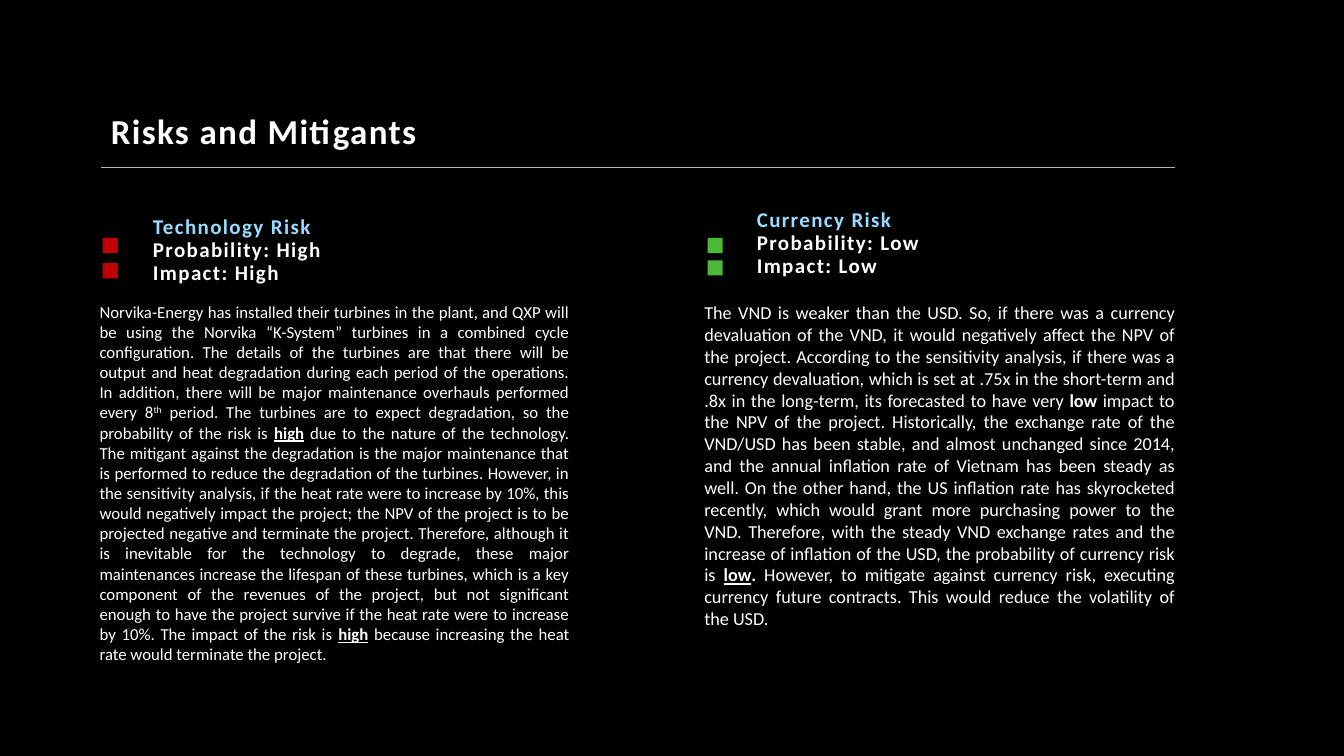
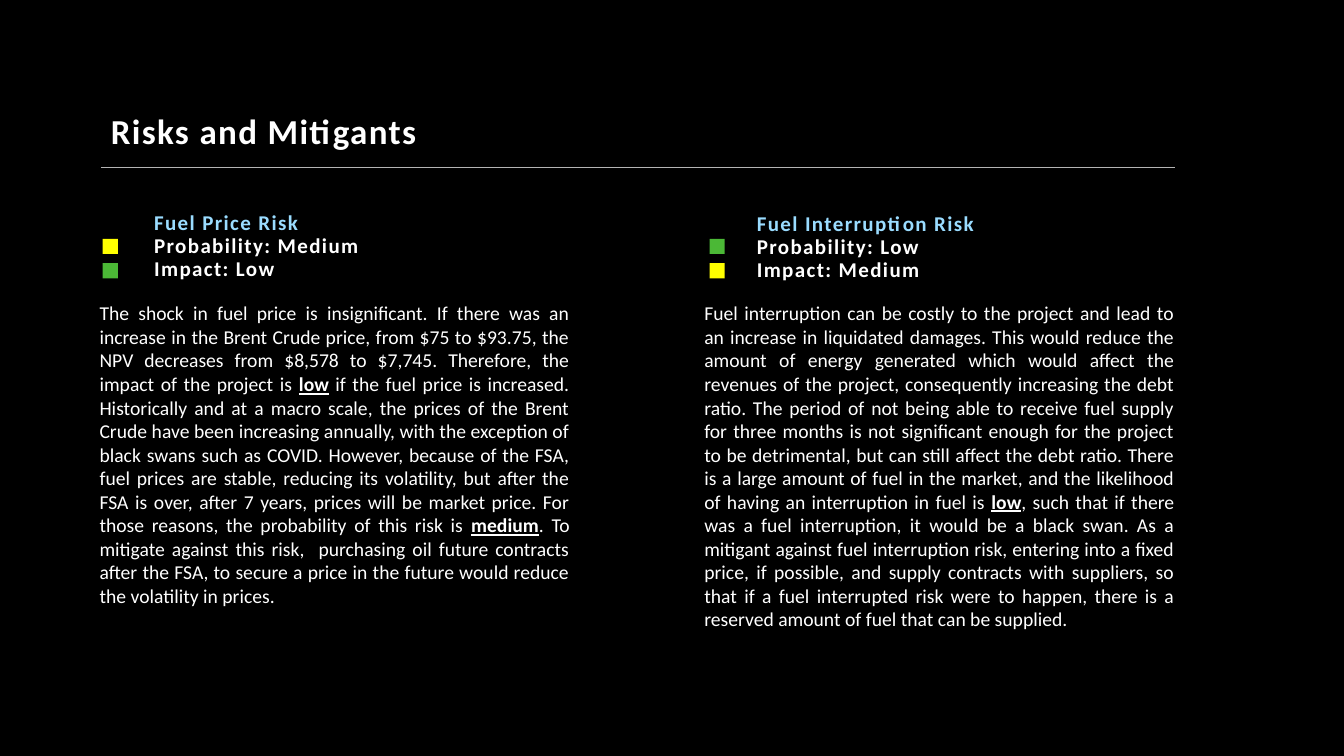
from pptx import Presentation
from pptx.dml.color import RGBColor
from pptx.enum.shapes import MSO_CONNECTOR, MSO_SHAPE
from pptx.enum.text import MSO_ANCHOR, MSO_AUTO_SIZE, PP_ALIGN
from pptx.oxml.ns import qn
from pptx.util import Pt

RECTANGLE = MSO_SHAPE.RECTANGLE
STRAIGHT = MSO_CONNECTOR.STRAIGHT
TOP = MSO_ANCHOR.TOP
GROW = MSO_AUTO_SIZE.SHAPE_TO_FIT_TEXT
LEFT, JUSTIFY = PP_ALIGN.LEFT, PP_ALIGN.JUSTIFY

BLACK = RGBColor(0x00, 0x00, 0x00)
WHITE = RGBColor(0xFF, 0xFF, 0xFF)
RULE_GREY = RGBColor(0xB4, 0xB4, 0xB4)
SKY_BLUE = RGBColor(0x9A, 0xDC, 0xFF)
LEVEL_COLORS = {
    "High": RGBColor(0xC0, 0x00, 0x00),
    "Medium": RGBColor(0xFF, 0xFF, 0x00),
    "Low": RGBColor(0x4B, 0xB8, 0x36),
}

FONT = "Calibri"
TITLE = "Risks and Mitigants"
TITLE_FORMAT = {"name": FONT, "size": Pt(25), "bold": True}
HEADING_FORMAT = {"name": FONT, "size": Pt(15), "bold": True}
BOLD = {"bold": True}
STRESSED = {"bold": True, "underline": True}
SPACED = {"spc": "100"}
SUPERSCRIPT = {"baseline": "30000"}

COLUMN_LEFTS = (64, 496)
BODY_TOP, BODY_WIDTH = 211.7, 350
HEADING_WIDTH, HEADING_HEIGHT = 322.5, 65.5
MARKER_SIZE = 10.8

# Body runs: text, font settings, raw run attributes
technology = [
    ("Norvika-Energy has installed their turbines in the plant, and QXP will be using "
     "the Norvika “K-System” turbines in a combined cycle configuration. The details of "
     "the turbines are that there will be output and heat degradation during each period "
     "of the operations. In addition, there will be major maintenance overhauls performed "
     "every 8", {}, {}),
    ("th", {}, SUPERSCRIPT),
    (" period. The turbines are to expect degradation, so the probability of the risk is ",
     {}, {}),
    ("high", STRESSED, {}),
    (" due to the nature of the technology. The mitigant against the degradation is the "
     "major maintenance that is performed to reduce the degradation of the turbines. "
     "However, in the sensitivity analysis, if the heat rate were to increase by 10%, this "
     "would negatively impact the project; the NPV of the project is to be projected "
     "negative and terminate the project. Therefore, although it is inevitable for the "
     "technology to degrade, these major maintenances increase the lifespan of these "
     "turbines, which is a key component of the revenues of the project, but not "
     "significant enough to have the project survive if the heat rate were to increase by "
     "10%. The impact of the risk is ", {}, {}),
    ("high", STRESSED, {}),
    (" because increasing the heat rate would terminate the project.", {}, {}),
]
currency = [
    ("The VND is weaker than the USD. So, if there was a currency devaluation of the VND, "
     "it would negatively affect the NPV of the project. According to the sensitivity "
     "analysis, if there was a currency devaluation, which is set at .75x in the "
     "short-term and .8x in the long-term, its forecasted to have very ", {}, {}),
    ("low", BOLD, {}),
    (" impact to the NPV of the project. Historically, the exchange rate of the VND/USD "
     "has been stable, and almost unchanged since 2014, and the annual inflation rate of "
     "Vietnam has been steady as well. On the other hand, the US inflation rate has "
     "skyrocketed recently, which would grant more purchasing power to the VND. Therefore, "
     "with the steady VND exchange rates and the increase of inflation of the USD, the "
     "probability of currency risk is ", {}, {}),
    ("low", STRESSED, {}),
    (". ", BOLD, {}),
    ("However, to mitigate against currency risk, executing currency future contracts. "
     "This would reduce the volatility of the USD.", {}, {}),
]
fuel_price = [
    ("The shock in fuel price is insignificant. If there was an increase in the Brent "
     "Crude price, from $75 to $93.75, the NPV decreases from $8,578 to $7,745. Therefore, "
     "the impact of the project is ", {}, {}),
    ("low", STRESSED, {}),
    (" if the fuel price is increased. Historically and at a macro scale, the prices of "
     "the Brent Crude have been increasing annually, with the exception of black swans "
     "such as COVID. However, because of the FSA, fuel prices are stable, reducing its "
     "volatility, but after the FSA is over, after 7 years, prices will be market price. "
     "For those reasons, the probability of this risk is ", {}, {}),
    ("medium", STRESSED, {}),
    (". To mitigate against this risk,  purchasing oil future contracts after the FSA, to "
     "secure a price in the future would reduce the volatility in prices.", {}, {}),
]
fuel_interruption = [
    ("Fuel interruption can be costly to the project and lead to an increase in liquidated "
     "damages. This would reduce the amount of energy generated which would affect the "
     "revenues of the project, consequently increasing the debt ratio. The period of not "
     "being able to receive fuel supply for three months is not significant enough for the "
     "project to be detrimental, but can still affect the debt ratio. There is a large "
     "amount of fuel in the market, and the likelihood of having an interruption in fuel "
     "is ", {}, {}),
    ("low", STRESSED, {}),
    (", such that if there was a fuel interruption, it would be a black swan. As a "
     "mitigant against fuel interruption risk, entering into a fixed price, if possible, "
     "and supply contracts with suppliers, so that if a fuel interrupted risk were to "
     "happen, there is a reserved amount of fuel that can be supplied.", {}, {}),
]

# Each risk: name, probability, impact, heading left and top, marker left and tops,
# body size and height, body runs
slides = [
    [("Technology Risk", "High", "High", 102.2, 151.2, 73.4, (170, 188), 12, 269, technology),
     ("Currency Risk", "Low", "Low", 533.5, 146.2, 505.4, (170, 186), 13, 243, currency)],
    [("Fuel Price Risk", "Medium", "Low", 103, 148.3, 73.4, (170.6, 188), 14, 228, fuel_price),
     ("Fuel Interruption Risk", "Low", "Medium", 533.5, 149, 506.9, (170.6, 188), 14, 245,
      fuel_interruption)],
]


def add_run(paragraph, text, color, font_format, attributes):
    run = paragraph.add_run()
    run.text = text
    run.font.color.rgb = color
    for name, value in font_format.items():
        setattr(run.font, name, value)
    for name, value in attributes.items():
        run._r.get_or_add_rPr().set(name, value)


def add_text_frame(slide, left, top, width, height):
    box = slide.shapes.add_textbox(Pt(left), Pt(top), Pt(width), Pt(height))
    box.text_frame.word_wrap = True
    return box.text_frame


presentation = Presentation()
presentation.slide_width, presentation.slide_height = Pt(960), Pt(540)
background = presentation.slide_master.background.fill
background.solid()
background.fore_color.rgb = BLACK

layout = presentation.slide_layouts.get_by_name("Title Only")
layout_title = layout.placeholders[0]
title_place = {"left": Pt(72), "top": Pt(77.8), "width": Pt(720), "height": Pt(42.5)}
for name, value in title_place.items():
    setattr(layout_title, name, value)
layout_title.text_frame.vertical_anchor = TOP

for risks in slides:
    slide = presentation.slides.add_slide(layout)
    paragraph = slide.shapes.title.text_frame.paragraphs[0]
    paragraph.alignment = LEFT
    paragraph.line_spacing = 0.9
    add_run(paragraph, TITLE, WHITE, TITLE_FORMAT, SPACED)

    rule = slide.shapes.add_connector(STRAIGHT, Pt(72), Pt(119.5), Pt(839.5), Pt(119.5))
    rule.line.color.rgb = RULE_GREY
    rule.line.width = Pt(0.75)
    properties = rule._element.spPr
    properties.append(properties.makeelement(qn("a:effectLst"), {}))

    for column_left, risk in zip(COLUMN_LEFTS, risks):
        (name, probability, impact, heading_left, heading_top,
         marker_left, marker_tops, body_size, body_height, body_runs) = risk

        frame = add_text_frame(slide, heading_left, heading_top, HEADING_WIDTH, HEADING_HEIGHT)
        heading_lines = [(name, SKY_BLUE), (f"Probability: {probability}", WHITE),
                         (f"Impact: {impact}", WHITE)]
        for index, (text, color) in enumerate(heading_lines):
            paragraph = frame.add_paragraph() if index else frame.paragraphs[0]
            paragraph.line_spacing = 0.9
            add_run(paragraph, text, color, HEADING_FORMAT, SPACED)

        frame = add_text_frame(slide, column_left, BODY_TOP, BODY_WIDTH, body_height)
        frame.auto_size = GROW
        paragraph = frame.paragraphs[0]
        paragraph.alignment = JUSTIFY
        body_format = {"name": FONT, "size": Pt(body_size)}
        for text, emphasis, attributes in body_runs:
            add_run(paragraph, text, WHITE, body_format | emphasis, attributes)

        for level, marker_top in zip((probability, impact), marker_tops):
            marker = slide.shapes.add_shape(
                RECTANGLE, Pt(marker_left), Pt(marker_top), Pt(MARKER_SIZE), Pt(MARKER_SIZE))
            marker.shadow.inherit = False
            marker.fill.solid()
            marker.fill.fore_color.rgb = LEVEL_COLORS[level]
            marker.line.fill.background()

presentation.save("out.pptx")
